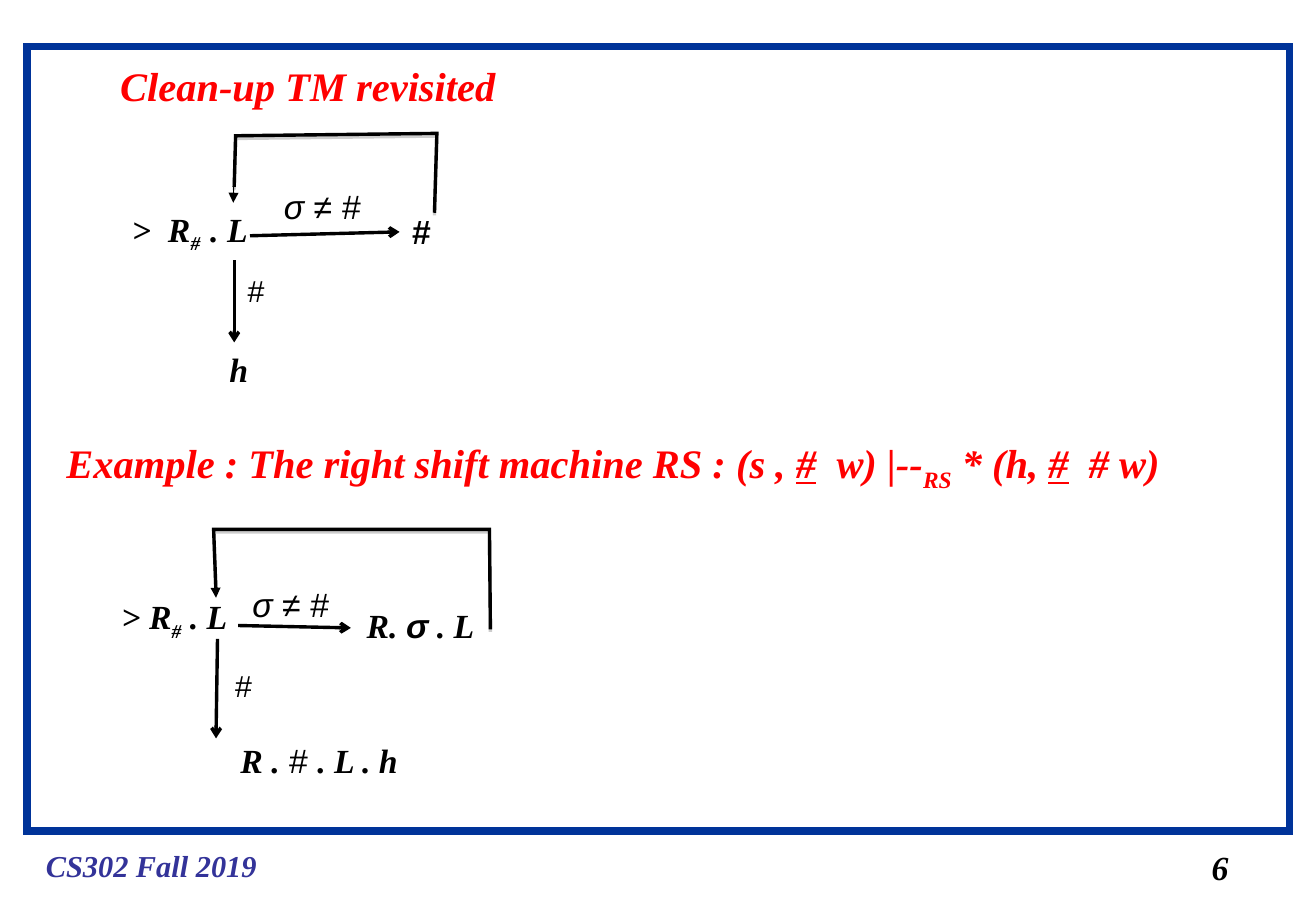
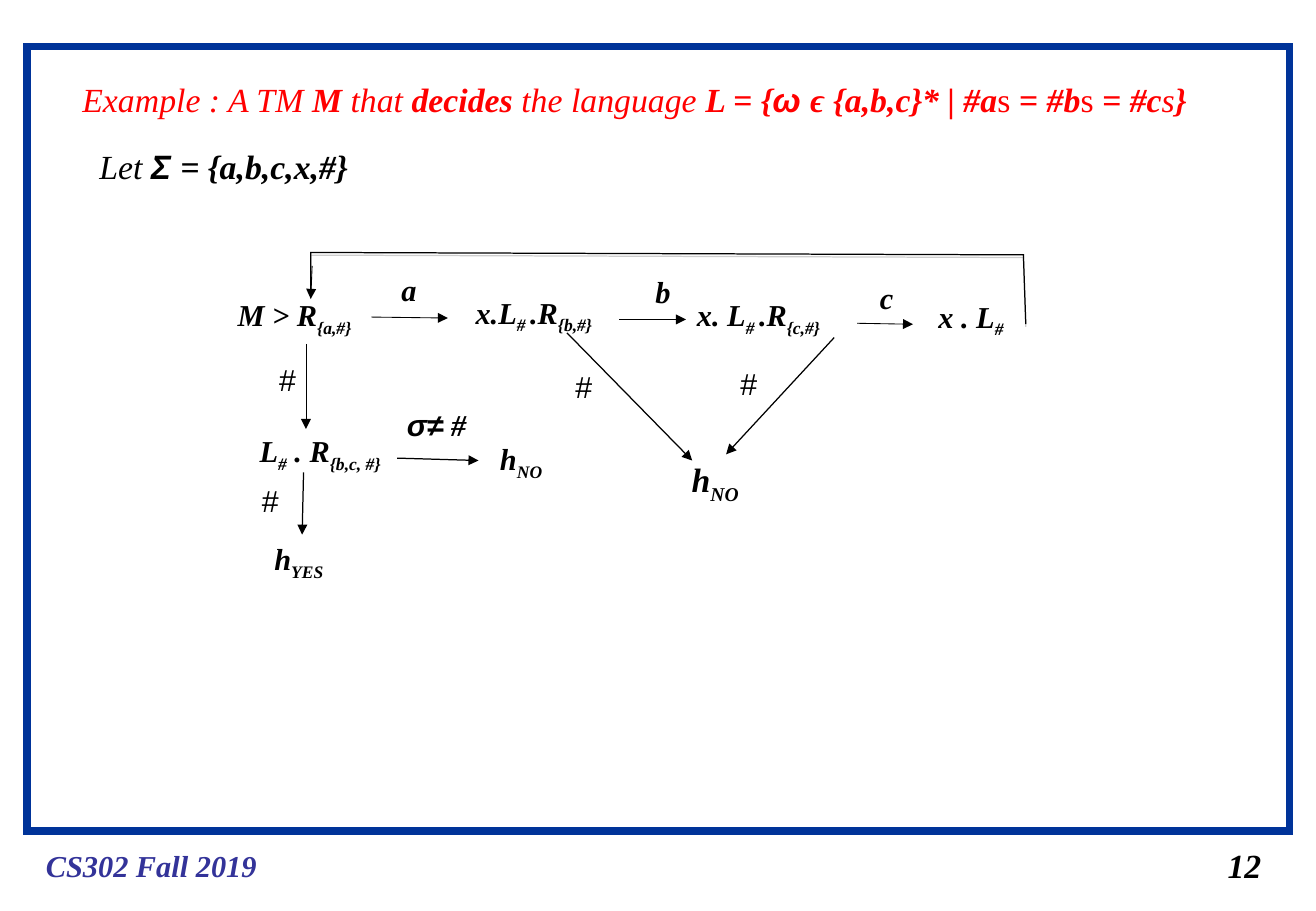
from dataclasses import dataclass
from typing import NamedTuple

import lxml.etree
import pptx
import pptx.dml.color
import pptx.enum.shapes
import pptx.enum.text
import pptx.oxml.ns
import pptx.util

SERIF, SANS = "Times New Roman", "Arial"
BLACK, RED, FRAME_BLUE, FOOTER_BLUE, SHADOW_GREY = "000000", "FF0000", "003399", "333399", "808080"
TITLE_ONLY = 5

Cm = pptx.util.Cm
Pt = pptx.util.Pt
qn = pptx.oxml.ns.qn


class Run(NamedTuple):
    text: str
    font: str | None = None
    bold: bool | None = None
    italic: bool | None = None
    underline: bool | None = None
    subscript: bool = False


@dataclass(frozen=True)
class Label:
    left: float
    top: float
    width: float
    runs: tuple[Run, ...]
    size: int = 18
    color: str = BLACK
    font: str = SERIF
    bold: bool = True
    italic: bool = True

    @property
    def height(self) -> float:
        return round(0.25 + 0.043 * self.size, 2)


class Arrow(NamedTuple):
    start: tuple[float, float]
    end: tuple[float, float]
    weight: float = 0.5
    head: str = "triangle"


class Loop(NamedTuple):
    points: tuple[tuple[float, float], ...]
    weight: float


@dataclass(frozen=True)
class Page:
    number: Label
    title: Label
    labels: tuple[Label, ...]
    arrows: tuple[Arrow, ...]
    loops: tuple[Loop, ...]


def sub(text: str) -> Run:
    return Run(text, subscript=True)


def plain(text: str) -> tuple[Run, ...]:
    return (Run(text),)


def hash_label(left: float, top: float) -> Label:
    return Label(left, top, 0.86, plain("#"), font=SANS, bold=False, italic=False)


def not_blank_label(left: float, top: float) -> Label:
    return Label(left, top, 2.67, plain("σ ≠ #"), size=20, font=SANS, bold=False)


def rgb(color: str) -> pptx.dml.color.RGBColor:
    return pptx.dml.color.RGBColor.from_string(color)


def style_line(shape, color: str, weight: float) -> None:
    shape.line.color.rgb = rgb(color)
    shape.line.width = Pt(weight)
    outline = shape._element.spPr.find(qn("a:ln"))
    lxml.etree.SubElement(outline, qn("a:miter"), lim="800000")


def add_effects(shape):
    return lxml.etree.SubElement(shape._element.spPr, qn("a:effectLst"))


def write_label(shape, label: Label) -> None:
    shape.left, shape.top = Cm(label.left), Cm(label.top)
    shape.width, shape.height = Cm(label.width), Cm(label.height)
    frame = shape.text_frame
    frame.word_wrap = True
    frame.auto_size = pptx.enum.text.MSO_AUTO_SIZE.NONE
    frame.margin_right = 0
    frame.vertical_anchor = pptx.enum.text.MSO_ANCHOR.TOP
    paragraph = frame.paragraphs[0]
    paragraph.alignment = pptx.enum.text.PP_ALIGN.LEFT
    paragraph.font.name = label.font
    paragraph.font.size = Pt(label.size)
    paragraph.font.bold = label.bold
    paragraph.font.italic = label.italic
    paragraph.font.color.rgb = rgb(label.color)
    for item in label.runs:
        run = paragraph.add_run()
        run.text = item.text
        for name in ("bold", "italic", "underline"):
            if getattr(item, name) is not None:
                setattr(run.font, name, getattr(item, name))
        if item.font:
            run.font.name = item.font
        if item.subscript:
            run._r.get_or_add_rPr().set("baseline", "-25000")


def add_label(slide, label: Label) -> None:
    write_label(slide.shapes.add_textbox(0, 0, 0, 0), label)


def add_arrow(slide, arrow: Arrow) -> None:
    connector = slide.shapes.add_connector(
        pptx.enum.shapes.MSO_CONNECTOR.STRAIGHT, *map(Cm, arrow.start + arrow.end))
    style_line(connector, BLACK, arrow.weight)
    outline = connector._element.spPr.find(qn("a:ln"))
    lxml.etree.SubElement(outline, qn("a:tailEnd"), type=arrow.head)
    add_effects(connector)


def add_loop(slide, loop: Loop) -> None:
    start, *rest = [(Cm(x), Cm(y)) for x, y in loop.points]
    builder = slide.shapes.build_freeform(*start)
    builder.add_line_segments(rest, close=False)
    shape = builder.convert_to_shape()
    shape.fill.background()
    style_line(shape, BLACK, loop.weight)
    shadow = lxml.etree.SubElement(
        add_effects(shape), qn("a:outerShdw"),
        blurRad="0", dist=str(Pt(1.6)), dir="5400000", rotWithShape="0")
    color = lxml.etree.SubElement(shadow, qn("a:srgbClr"), val=SHADOW_GREY)
    lxml.etree.SubElement(color, qn("a:alpha"), val="38000")


def add_frame(slide) -> None:
    frame = slide.shapes.add_shape(
        pptx.enum.shapes.MSO_SHAPE.RECTANGLE, Cm(0.56), Cm(0.97), Cm(26.42), Cm(16.41))
    frame.shadow.inherit = False
    frame.fill.background()
    style_line(frame, FRAME_BLUE, 4.5)


FOOTER = Label(0.71, 17.6, 4.9, plain("CS302 Fall 2019"), color=FOOTER_BLUE)


def add_page(presentation, page: Page) -> None:
    slide = presentation.slides.add_slide(presentation.slide_layouts[TITLE_ONLY])
    add_frame(slide)
    write_label(slide.shapes.title, page.title)
    for label in (FOOTER, page.number, *page.labels):
        add_label(slide, label)
    for loop in page.loops:
        add_loop(slide, loop)
    for arrow in page.arrows:
        add_arrow(slide, arrow)


SHIFT_MACHINES = Page(
    number=Label(25.1, 17.58, 0.86, plain("6"), size=20),
    title=Label(2.26, 1.14, 8.6, plain("Clean-up TM revisited"), size=24, color=RED),
    labels=(
        Label(2.51, 4.24, 3, (Run(">  R"), sub("#  "), Run(". L")), size=20),
        not_blank_label(5.69, 3.76),
        Label(8.36, 4.29, 1.09, plain("#"), size=20, font=SANS),
        hash_label(4.93, 5.56),
        Label(4.55, 7.16, 0.89, plain("h"), size=20),
        Label(1.14, 9.04, 24, (
            Run("Example : The right shift machine RS : (s , "), Run("#", underline=True),
            Run("  w) |--"), sub("RS"), Run(" * (h, "), Run("#", underline=True),
            Run("  # w)")), size=24, color=RED),
        Label(2.29, 12.34, 2.9, (Run("> R"), sub("#"), Run(" . L")), size=20),
        not_blank_label(5.03, 12.09),
        Label(7.42, 12.52, 2.8, (Run("R. "), Run("σ", SANS), Run(" . L")), size=20),
        hash_label(4.67, 13.82),
        Label(4.78, 15.34, 4.01, (
            Run("R ."), Run(" # ", SANS, bold=False, italic=False), Run(". L . h")), size=20),
    ),
    arrows=(
        Arrow((5.23, 4.93), (8.36, 4.85), 2, "arrow"),
        Arrow((4.9, 5.44), (4.9, 7.16), 2, "arrow"),
        Arrow((4.9, 3.43), (4.88, 4.24)),
        Arrow((4.98, 13.08), (7.34, 13.13), 2, "arrow"),
        Arrow((4.55, 13.36), (4.52, 15.44), 2, "arrow"),
        Arrow((4.47, 11.46), (4.52, 12.5)),
    ),
    loops=(
        Loop(((9.09, 4.45), (9.14, 2.79), (4.93, 2.84), (4.9, 3.91)), 2),
        Loop(((10.26, 13.16), (10.24, 11.07), (4.47, 11.07), (4.52, 12.37)), 2),
    ),
)

DECIDER = Page(
    number=Label(25.43, 17.55, 1.22, plain("12"), size=20),
    title=Label(1.47, 1.52, 24, (
        Run("Example : A TM ", bold=False), Run("M"), Run(" that ", bold=False),
        Run("decides"), Run(" the language ", bold=False), Run("L = {"), Run("ω ", SANS),
        Run("ϵ {a,b,c}* | #a"), Run("s", bold=False, italic=False), Run(" = #b"),
        Run("s ", bold=False, italic=False), Run("= #c"), Run("s", bold=False),
        Run("}")), size=20, color=RED),
    labels=(
        Label(1.83, 2.92, 6, (
            Run("Let ", bold=False), Run("Σ ", SANS), Run("= {a,b,c,x,#}")), size=20),
        Label(4.72, 6.07, 3.07, (Run("M > R"), sub("{a,#}"))),
        Label(8.15, 5.54, 0.81, plain("a")),
        Label(9.7, 6.02, 3.2, (Run("x.L"), sub("# "), Run(".R"), sub("{b,#}"))),
        Label(13.46, 5.59, 0.81, plain("b")),
        Label(14.33, 6.07, 3.3, (Run("x. L"), sub("# "), Run(".R"), sub("{c,#}"))),
        Label(18.16, 5.72, 0.76, plain("c")),
        Label(19.38, 6.1, 3.84, (Run("x . L"), sub("#"))),
        hash_label(5.59, 7.42),
        hash_label(11.79, 7.57),
        hash_label(15.24, 7.52),
        Label(5.18, 8.92, 3.05, (Run("L"), sub("#"), Run(" . R"), sub("{b,c, #}"))),
        Label(8.26, 8.36, 1.88, (Run("σ≠", SANS), Run(" #"))),
        Label(10.21, 9.09, 1.4, (Run("h"), sub("NO"))),
        Label(14.22, 9.47, 1.5, (Run("h"), sub("NO")), size=20),
        hash_label(5.23, 9.96),
        Label(5.49, 11.18, 1.78, (Run("h"), sub("YES"))),
    ),
    arrows=(
        Arrow((7.77, 6.63), (9.37, 6.65)),
        Arrow((12.95, 6.68), (14.35, 6.68)),
        Arrow((17.93, 6.76), (19.1, 6.78)),
        Arrow((6.53, 5.56), (6.5, 6.25)),
        Arrow((6.4, 7.19), (6.4, 8.97)),
        Arrow((8.31, 9.58), (10.01, 9.63), 0.75),
        Arrow((11.86, 6.96), (14.48, 9.63), 0.75),
        Arrow((17.45, 7.06), (15.19, 9.5), 0.75),
        Arrow((6.35, 9.88), (6.32, 11.18), 0.75),
    ),
    loops=(Loop(((21.46, 6.78), (21.41, 5.33), (6.5, 5.28), (6.5, 6.2)), 0.75),),
)


def main() -> None:
    presentation = pptx.Presentation()
    presentation.slide_width, presentation.slide_height = Cm(27.53), Cm(19.05)
    for page in (SHIFT_MACHINES, DECIDER):
        add_page(presentation, page)
    presentation.save("out.pptx")


if __name__ == "__main__":
    main()
